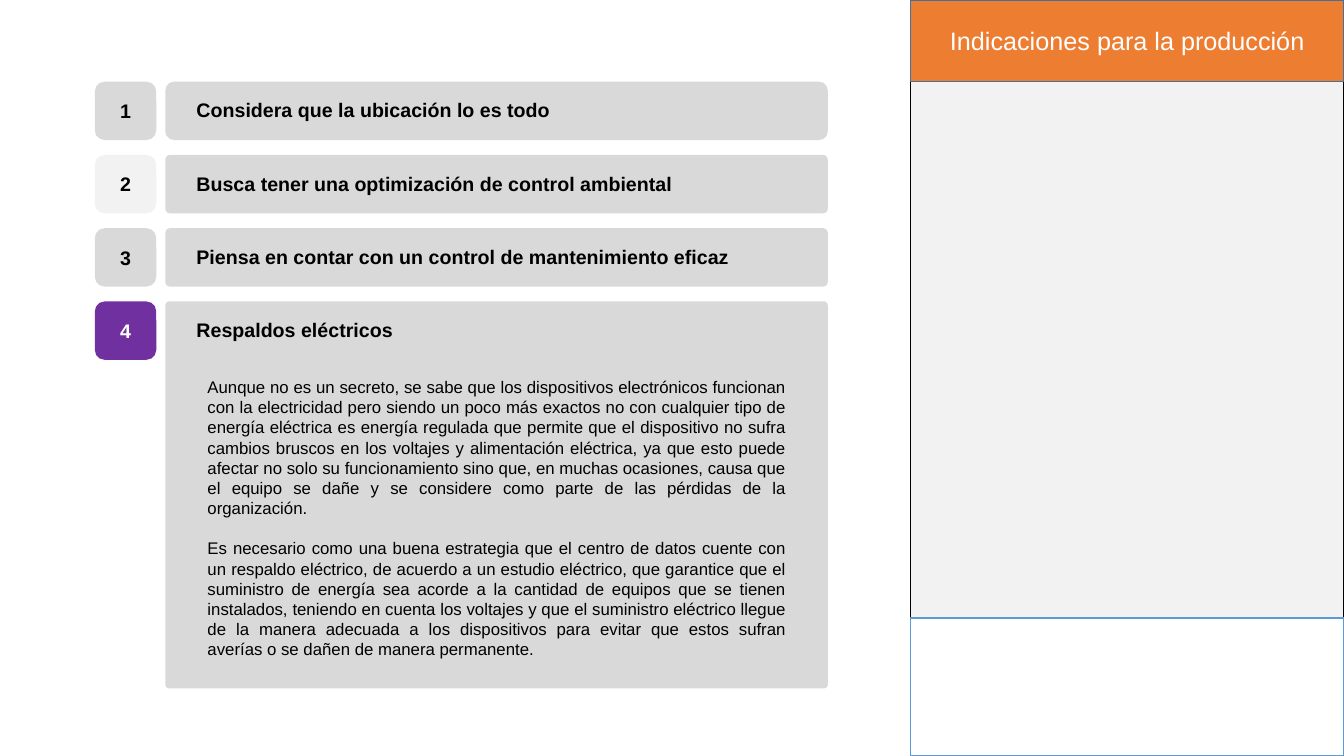
from pptx import Presentation
from pptx.dml.color import RGBColor
from pptx.enum.shapes import MSO_SHAPE
from pptx.enum.text import MSO_ANCHOR, MSO_AUTO_SIZE, PP_ALIGN
from pptx.util import Inches, Pt

# Content
HEAD = "Indicaciones para la producción"
# number, title, title width, title drop, badge colour, number colour, bar height, bar corner
ROWS = [
    ("1", "Considera que la ubicación lo es todo", 3.72, 0.11, "gray", "black", 0.58, 0.15),
    ("2", "Busca tener una optimización de control ambiental", 4.94, 0.12, "pale", "black", 0.58, 0.08),
    ("3", "Piensa en contar con un control de mantenimiento eficaz", 5.5, 0.12, "gray", "black", 0.58, 0.08),
    ("4", "Respaldos eléctricos", 2.16, 0.12, "purple", "white", 3.84, 0.01),
]
BODY = [
    "Aunque no es un secreto, se sabe que los dispositivos electrónicos funcionan "
    "con la electricidad pero siendo un poco más exactos no con cualquier tipo de "
    "energía eléctrica es energía regulada que permite que el dispositivo no sufra "
    "cambios bruscos en los voltajes y alimentación eléctrica, ya que esto puede "
    "afectar no solo su funcionamiento sino que, en muchas ocasiones, causa que el "
    "equipo se dañe y se considere como parte de las pérdidas de la organización.",
    "Es necesario como una buena estrategia que el centro de datos cuente con un "
    "respaldo eléctrico, de acuerdo a un estudio eléctrico, que garantice que el "
    "suministro de energía sea acorde a la cantidad de equipos que se tienen "
    "instalados, teniendo en cuenta los voltajes y que el suministro eléctrico llegue "
    "de la manera adecuada a los dispositivos para evitar que estos sufran averías o "
    "se dañen de manera permanente.",
]
COLORS = {
    "black": "000000", "white": "FFFFFF", "gray": "D9D9D9", "pale": "F2F2F2",
    "purple": "7030A0", "orange": "ED7D31", "navy": "42719B", "blue": "5B9BD5",
}

# Grid, in inches
WIDE, HIGH = 13.33, 7.5
TOP, LAST, SIDE = 0.81, 2.99, 0.58
STEP = (LAST - TOP) / (len(ROWS) - 1)
NUM_X, BAR_X, TEXT_X = 0.94, 1.64, 1.85
PANEL_X, FOOT_Y = 9.03, 6.13

deck = Presentation()
deck.slide_width, deck.slide_height = Inches(WIDE), Inches(HIGH)
slide = deck.slides.add_slide(deck.slide_layouts[6])


def color(name):
    return RGBColor.from_string(COLORS[name])


def block(box, fill, line=None, round=None):
    kind = MSO_SHAPE.RECTANGLE if round is None else MSO_SHAPE.ROUNDED_RECTANGLE
    shape = slide.shapes.add_shape(kind, *map(Inches, box))
    shape.shadow.inherit = False
    shape.fill.solid()
    shape.fill.fore_color.rgb = color(fill)
    if round is not None:
        shape.adjustments[0] = round
    if line:
        shape.line.color.rgb = color(line)
        shape.line.width = Pt(1)
    else:
        shape.line.fill.background()
    return shape


def write(shape, texts, size, tint="black", bold=False, align=PP_ALIGN.LEFT, gap=0):
    frame = shape.text_frame
    for i, text in enumerate(texts):
        para = frame.add_paragraph() if i else frame.paragraphs[0]
        para.text = text
        para.alignment = align
        para.space_before = Pt(gap if i else 0)
        font = para.font
        font.name, font.size, font.bold = "Arial", Pt(size), bold
        font.color.rgb = color(tint)


def label(box, texts, size, wrap, **style):
    shape = slide.shapes.add_textbox(*map(Inches, box))
    shape.text_frame.word_wrap = wrap
    shape.text_frame.auto_size = MSO_AUTO_SIZE.SHAPE_TO_FIT_TEXT
    write(shape, texts, size, **style)


# Side panel
span = WIDE - PANEL_X
block((PANEL_X, 0, span, HIGH), "pale", "black")
head = block((PANEL_X, 0, span, TOP), "orange", "navy")
head.text_frame.word_wrap = True
head.text_frame.vertical_anchor = MSO_ANCHOR.MIDDLE
write(head, [HEAD], 18, "white", align=PP_ALIGN.CENTER)
block((PANEL_X, FOOT_Y, span, HIGH - FOOT_Y), "white", "blue")

# Numbered rows
for i, (num, title, width, drop, fill, tint, tall, curve) in enumerate(ROWS):
    y = TOP + i * STEP
    badge = block((NUM_X, y, 0.61, SIDE), fill, round=0.17)
    badge.text_frame.vertical_anchor = MSO_ANCHOR.MIDDLE
    write(badge, [num], 14, tint, True, PP_ALIGN.CENTER)
    block((BAR_X, y, 6.57, tall), "gray", round=curve)
    label((TEXT_X, y + drop, width, 0.34), [title], 14, False, bold=True)

# Explanation under the last row
label((1.96, 3.69, 5.94, 2.93), BODY, 12, True, align=PP_ALIGN.JUSTIFY, gap=14.4)

deck.save("out.pptx")
